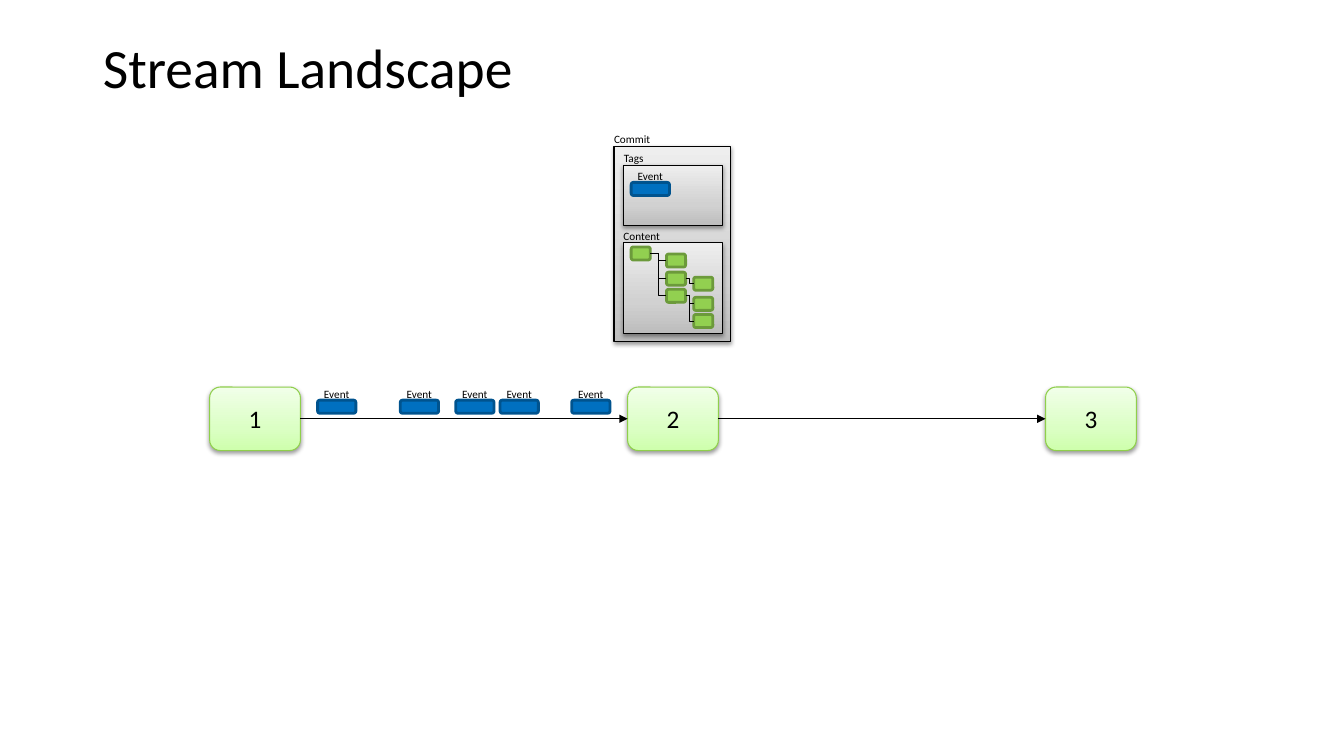
"""Build the Stream Landscape slide: three stages, their events and one commit."""
from copy import deepcopy
from dataclasses import dataclass

from lxml import etree
from pptx import Presentation
from pptx.dml.color import RGBColor
from pptx.enum import shapes, text
from pptx.oxml import ns
from pptx.util import Inches, Pt


@dataclass(frozen=True)
class Theme:
    """Hold the colours, font and type sizes of the slide."""
    font: str = "Calibri"
    title_size: float = 39.6
    stage_size: float = 18
    label_size: float = 8
    ink: str = "000000"
    stage_line: str = "8FCF4B"
    stage_stops: tuple = ("CEFFAC", "DBFFC4", "F1FFE9")
    panel_stops: tuple = ("BDBDBD", "D1D1D1", "EEEEEE")
    event: tuple = ("0070C0", "00538E")
    node: tuple = ("92D050", "6C9A3B")


THEME = Theme()
ROUNDED = shapes.MSO_SHAPE.ROUNDED_RECTANGLE
LEFT_SITE, RIGHT_SITE = 1, 3


def style_text(frame, wording, size, alignment):
    """Write one paragraph in the theme font."""
    frame.text = wording
    paragraph = frame.paragraphs[0]
    paragraph.alignment = alignment
    paragraph.font.name = THEME.font
    paragraph.font.size = Pt(size)
    paragraph.font.color.rgb = RGBColor.from_string(THEME.ink)
    return paragraph


def style_line(line, colour, width):
    """Set the colour and width of a line."""
    line.color.rgb = RGBColor.from_string(colour)
    line.width = Pt(width)


def add_title(slide, wording):
    """Place and format the title placeholder."""
    title = slide.shapes.title
    title.left, title.top = Inches(0.92), Inches(0.4)
    title.width, title.height = Inches(11.5), Inches(0.6)
    frame = title.text_frame
    frame.auto_size = text.MSO_AUTO_SIZE.NONE
    frame.vertical_anchor = text.MSO_ANCHOR.MIDDLE
    paragraph = style_text(frame, wording, THEME.title_size, text.PP_ALIGN.LEFT)
    paragraph.line_spacing = 0.9


def add_box(parent, kind, left, top, width, height):
    """Add a preset shape measured in inches."""
    shape = parent.shapes.add_shape(
        kind, Inches(left), Inches(top), Inches(width), Inches(height))
    shape.shadow.inherit = False
    return shape


def add_shaded_box(parent, kind, bounds, colours, line_colour):
    """Add a box with an upward three-stop gradient and a soft shadow."""
    shape = add_box(parent, kind, *bounds)
    shape.fill.gradient()
    shape.fill.gradient_angle = 90
    properties = shape._element.spPr
    stop_list = properties.find(".//" + ns.qn("a:gsLst"))
    stop_list.insert(1, deepcopy(stop_list[0]))
    for stop, position, colour in zip(shape.fill.gradient_stops, (0, 0.35, 1), colours):
        stop.position = position
        stop.color.rgb = RGBColor.from_string(colour)
    style_line(shape.line, line_colour, 0.75)
    effects = properties.find(ns.qn("a:effectLst"))
    shadow = etree.SubElement(effects, ns.qn("a:outerShdw"), blurRad="40000",
                              dist="20000", dir="5400000", rotWithShape="0")
    colour = etree.SubElement(shadow, ns.qn("a:srgbClr"), val=THEME.ink)
    etree.SubElement(colour, ns.qn("a:alpha"), val="38000")
    return shape


def add_chip(parent, left, top, width, colours):
    """Add a small rounded box with a heavy outline."""
    fill, line = colours
    chip = add_box(parent, ROUNDED, left, top, width, 0.13)
    chip.fill.solid()
    chip.fill.fore_color.rgb = RGBColor.from_string(fill)
    style_line(chip.line, line, 2)
    return chip


def add_label(parent, wording, left, top, width):
    """Add a small caption without margins."""
    label = parent.shapes.add_textbox(
        Inches(left), Inches(top), Inches(width), Inches(0.13))
    frame = label.text_frame
    frame.margin_left = frame.margin_right = frame.margin_top = frame.margin_bottom = 0
    frame.word_wrap = False
    frame.auto_size = text.MSO_AUTO_SIZE.SHAPE_TO_FIT_TEXT
    style_text(frame, wording, THEME.label_size, text.PP_ALIGN.CENTER)


def add_event(parent, left, top):
    """Add an event chip with its caption above."""
    add_chip(parent, left, top, 0.38, THEME.event)
    add_label(parent, "Event", left + 0.06, top - 0.13, 0.26)


def add_stage(slide, number, left):
    """Add a numbered stage."""
    stage = add_shaded_box(slide, ROUNDED, (left, 3.84, 0.9, 0.63),
                           THEME.stage_stops, THEME.stage_line)
    stage.text_frame.vertical_anchor = text.MSO_ANCHOR.MIDDLE
    style_text(stage.text_frame, str(number), THEME.stage_size, text.PP_ALIGN.CENTER)
    return stage


def connect(parent, kind, start, end):
    """Join the right side of one shape to the left side of another."""
    connector = parent.shapes.add_connector(
        kind, start.left + start.width, start.top + start.height // 2,
        end.left, end.top + end.height // 2)
    connector.begin_connect(start, RIGHT_SITE)
    connector.end_connect(end, LEFT_SITE)
    style_line(connector.line, THEME.ink, 0.75)
    etree.SubElement(connector._element.spPr, ns.qn("a:effectLst"))
    return connector


def add_arrow(slide, start, end):
    """Add a straight arrow between two stages."""
    arrow = connect(slide, shapes.MSO_CONNECTOR.STRAIGHT, start, end)
    line = arrow._element.spPr.find(ns.qn("a:ln"))
    etree.SubElement(line, ns.qn("a:tailEnd"), type="triangle")


def add_panel(parent, wording, bounds, label_width):
    """Add a grey panel with its caption above."""
    add_shaded_box(parent, shapes.MSO_SHAPE.RECTANGLE, bounds,
                   THEME.panel_stops, THEME.ink)
    left, top = bounds[:2]
    add_label(parent, wording, left, top - 0.135, label_width)


def add_tree(parent):
    """Add the content tree with its elbow connectors."""
    places = {
        "root": (6.26, 2.45),
        "first": (6.61, 2.52), "second": (6.61, 2.7), "third": (6.61, 2.87),
        "second leaf": (6.88, 2.75),
        "third leaf": (6.88, 2.95), "last leaf": (6.88, 3.12),
    }
    branches = {
        "root": ("first", "second", "third"),
        "second": ("second leaf",),
        "third": ("third leaf", "last leaf"),
    }
    nodes = {name: add_chip(parent, left, top, 0.19, THEME.node)
             for name, (left, top) in places.items()}
    for start, ends in branches.items():
        for end in ends:
            connect(parent, shapes.MSO_CONNECTOR.ELBOW, nodes[start], nodes[end])


def add_commit(slide):
    """Add the commit with its tags and content."""
    commit = slide.shapes.add_group_shape()
    add_panel(commit, "Commit", (6.09, 1.45, 1.16, 1.94), 0.36)
    add_panel(commit, "Tags", (6.18, 1.64, 0.99, 0.6), 0.21)
    add_event(commit, 6.26, 1.81)
    add_panel(commit, "Content", (6.18, 2.41, 0.99, 0.9), 0.37)
    add_tree(commit)


def main():
    """Build and save the presentation."""
    presentation = Presentation()
    presentation.slide_width, presentation.slide_height = Inches(13.33), Inches(7.5)
    slide = presentation.slides.add_slide(presentation.slide_layouts[5])
    add_title(slide, "Stream Landscape")
    stages = [add_stage(slide, index + 1, 2.08 + index * 4.145) for index in range(3)]
    for start, end in zip(stages, stages[1:]):
        add_arrow(slide, start, end)
    for left in (3.15, 3.97, 4.52, 4.96, 5.67):
        add_event(slide.shapes.add_group_shape(), left, 3.97)
    add_commit(slide)
    presentation.save("out.pptx")


main()
